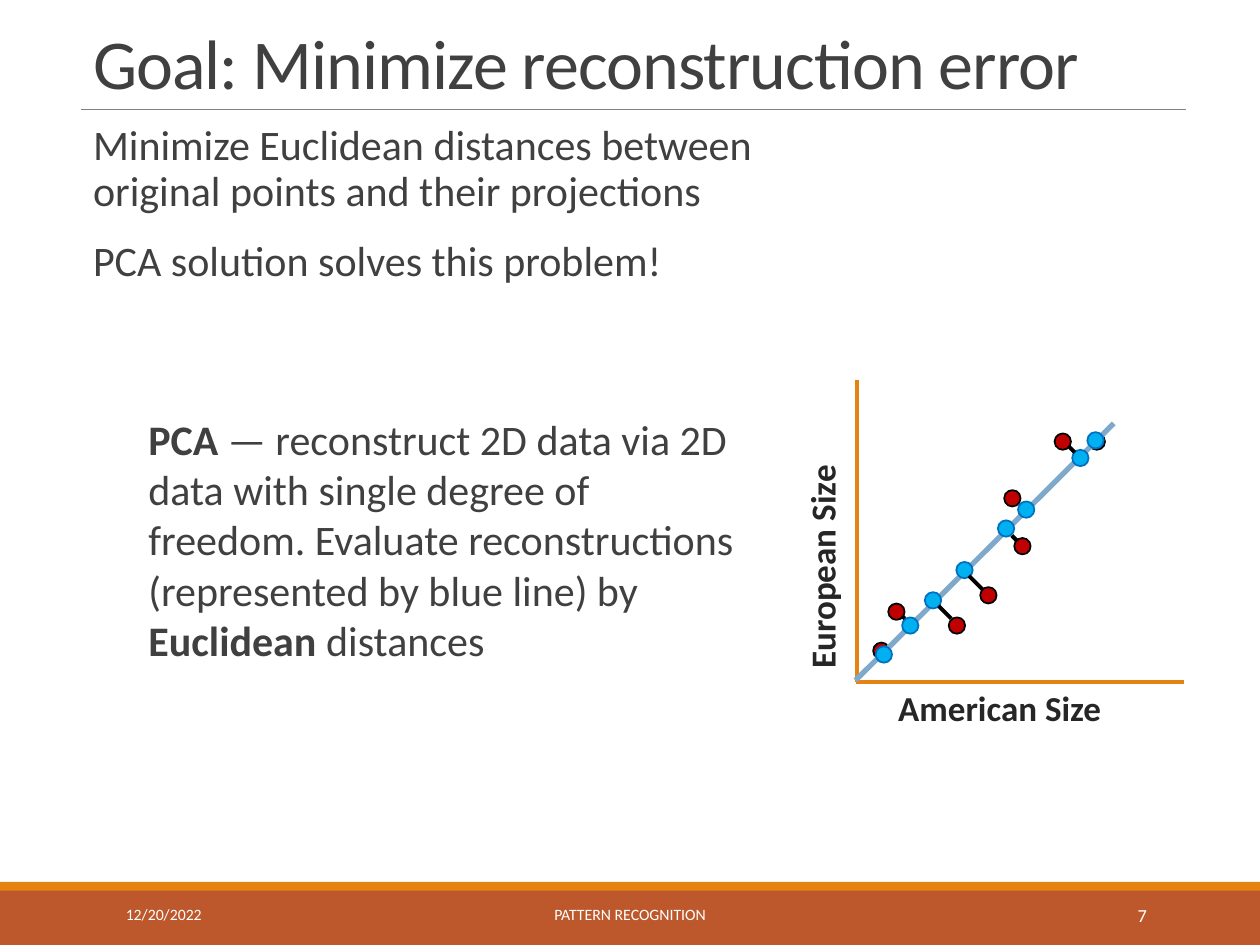
"""Build the slide on minimizing reconstruction error with PCA."""
from dataclasses import dataclass

from lxml import etree
from pptx import Presentation
from pptx import util as u
from pptx.dml.color import RGBColor
from pptx.enum import shapes, text
from pptx.oxml.ns import qn

PX = 9144


@dataclass(frozen=True)
class Theme:
    font: str = "Calibri"
    ink: str = "404040"
    label_ink: str = "262626"
    white: str = "FFFFFF"
    black: str = "000000"
    rule: str = "808080"
    band: str = "BD582C"
    accent: str = "E48312"
    fit: str = "7EA9CA"
    sample: str = "C00000"
    projection: str = "00B0F0"
    projection_edge: str = "0070C0"
    title_size: float = 40
    body_size: float = 24
    label_size: float = 20
    number_size: float = 10.5
    footer_size: float = 9


class Slide:
    def __init__(self, page, theme):
        self.page = page
        self.theme = theme

    def shape(self, kind, place, fill, edge=None):
        shape = self.page.shapes.add_shape(kind, *(n * PX for n in place))
        shape.shadow.inherit = False
        shape.fill.solid()
        shape.fill.fore_color.rgb = RGBColor.from_string(fill)
        if edge:
            shape.line.color.rgb = RGBColor.from_string(edge)
            shape.line.width = u.Pt(1)
        else:
            shape.line.fill.background()

    def dots(self, corners, fill, edge):
        for left, top in corners:
            self.shape(shapes.MSO_SHAPE.OVAL, (left, top, 13, 13), fill, edge)

    def line(self, ends, color, width):
        line = self.page.shapes.add_connector(
            shapes.MSO_CONNECTOR.STRAIGHT, *(n * PX for n in ends))
        line.line.color.rgb = RGBColor.from_string(color)
        line.line.width = u.Pt(width)
        etree.SubElement(line._element.spPr, qn("a:effectLst"))

    def text(self, place, paras, size, color, anchor=text.MSO_ANCHOR.TOP,
             align=text.PP_ALIGN.LEFT, leading=1.0, gap=0, tracking=0, turn=0):
        box = self.page.shapes.add_textbox(*(n * PX for n in place))
        box.rotation = turn
        frame = box.text_frame
        frame.word_wrap = True
        frame.vertical_anchor = anchor
        for index, spans in enumerate(paras):
            para = frame.add_paragraph() if index else frame.paragraphs[0]
            para.alignment = align
            para.line_spacing = leading
            para.space_before = u.Pt(gap if index else 0)
            for words, bold in spans:
                span = para.add_run()
                span.text = words
                span.font.name = self.theme.font
                span.font.size = u.Pt(size)
                span.font.bold = bold
                span.font.color.rgb = RGBColor.from_string(color)
                if tracking:
                    span._r.get_or_add_rPr().set("spc", str(tracking))


def add_frame(slide):
    theme = slide.theme
    slide.shape(shapes.MSO_SHAPE.RECTANGLE, (0, 706, 1000, 44), theme.band)
    slide.shape(shapes.MSO_SHAPE.RECTANGLE, (0, 700, 1000, 7), theme.accent)
    slide.line((64, 87, 941, 87), theme.rule, 0.5)
    footers = [
        (90, 203, "12/20/2022", theme.footer_size, text.PP_ALIGN.LEFT),
        (302, 396, "PATTERN RECOGNITION", theme.footer_size, text.PP_ALIGN.CENTER),
        (812, 108, "7", theme.number_size, text.PP_ALIGN.RIGHT),
    ]
    for left, width, words, size, align in footers:
        slide.text((left, 706, width, 40), [[(words, False)]], size, theme.white,
                   anchor=text.MSO_ANCHOR.MIDDLE, align=align)


def add_wording(slide):
    theme = slide.theme
    slide.text((64, 13, 877, 74), [[("Goal: Minimize reconstruction error", False)]],
               theme.title_size, theme.ink, anchor=text.MSO_ANCHOR.BOTTOM,
               leading=0.85, tracking=-50)
    points = [
        "Minimize Euclidean distances between original points and their projections",
        "PCA solution solves this problem!",
    ]
    slide.text((64, 94, 567, 595), [[(point, False)] for point in points],
               theme.body_size, theme.ink, leading=0.9, gap=14)
    slide.text((108, 323, 500, 212), [[
        ("PCA", True),
        (" — reconstruct 2D data via 2D data with single degree of freedom. "
         "Evaluate reconstructions (represented by blue line) by ", False),
        ("Euclidean", True),
        (" distances", False),
    ]], theme.body_size, theme.ink)


def add_plot(slide):
    theme = slide.theme
    for axis in [(680, 302, 680, 541), (679, 541, 940, 541)]:
        slide.line(axis, theme.accent, 2.25)
    for left, top, words, turn in [(703, 540, "American Size", 0),
                                   (545, 411, "European Size", 270)]:
        slide.text((left, top, 215, 44), [[(words, True)]],
                   theme.label_size, theme.label_ink, turn=turn)
    samples = [(705, 479), (693, 510), (753, 490), (778, 466),
               (805, 427), (797, 389), (837, 344), (864, 344)]
    projections = [(863, 343), (851, 357), (808, 398), (792, 413),
                   (759, 446), (734, 470), (716, 490), (695, 513)]
    errors = [(848, 354, 853, 359), (803, 425, 807, 429), (769, 457, 780, 468),
              (745, 481, 755, 491), (716, 489, 718, 491)]
    slide.dots(samples, theme.sample, theme.black)
    slide.line((884, 336, 679, 540), theme.fit, 3)
    slide.dots(projections, theme.projection, theme.projection_edge)
    for error in errors:
        slide.line(error, theme.black, 2.25)


def main():
    deck = Presentation()
    deck.slide_width, deck.slide_height = 1000 * PX, 750 * PX
    slide = Slide(deck.slides.add_slide(deck.slide_layouts[6]), Theme())
    add_frame(slide)
    add_wording(slide)
    add_plot(slide)
    deck.save("out.pptx")


if __name__ == "__main__":
    main()
